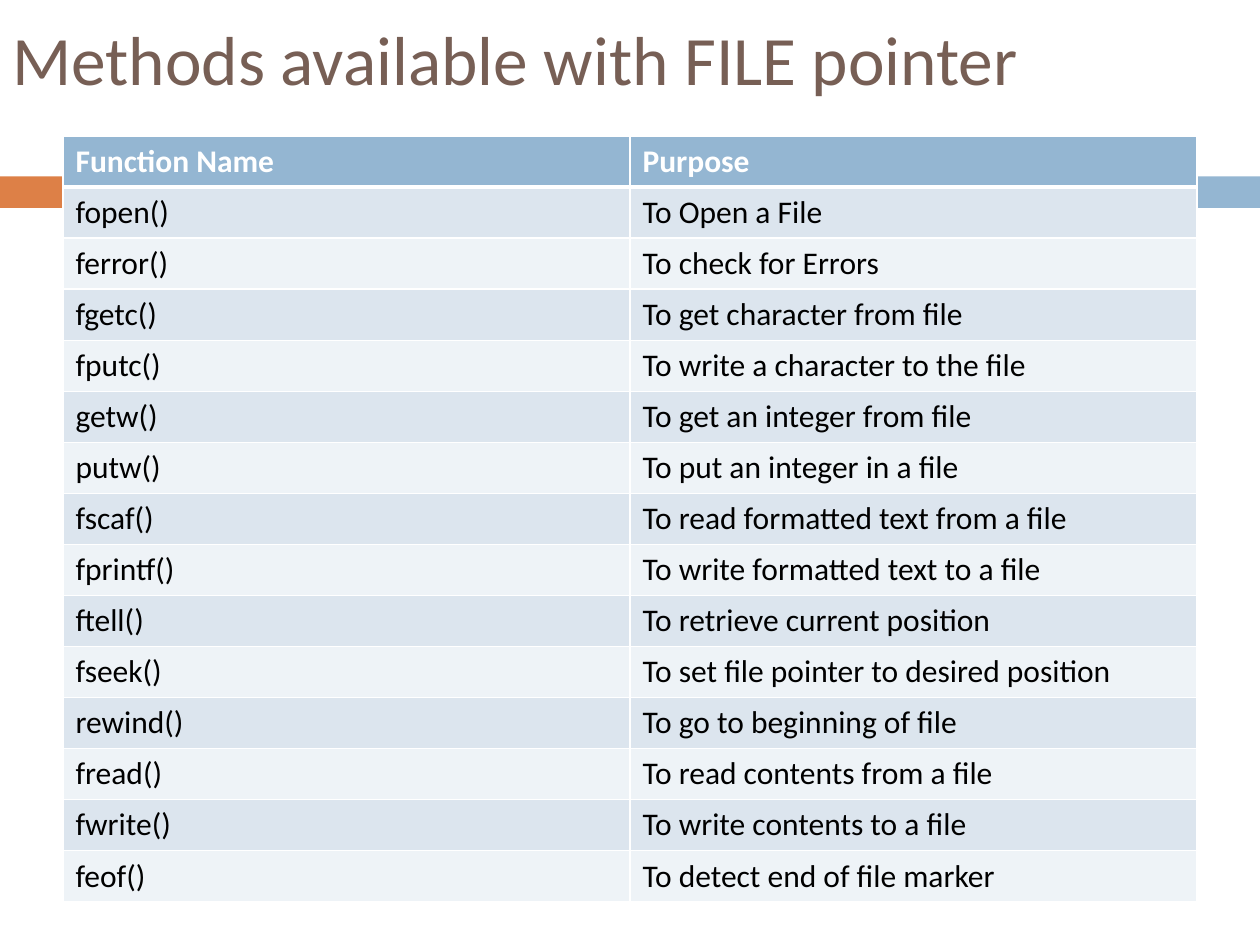
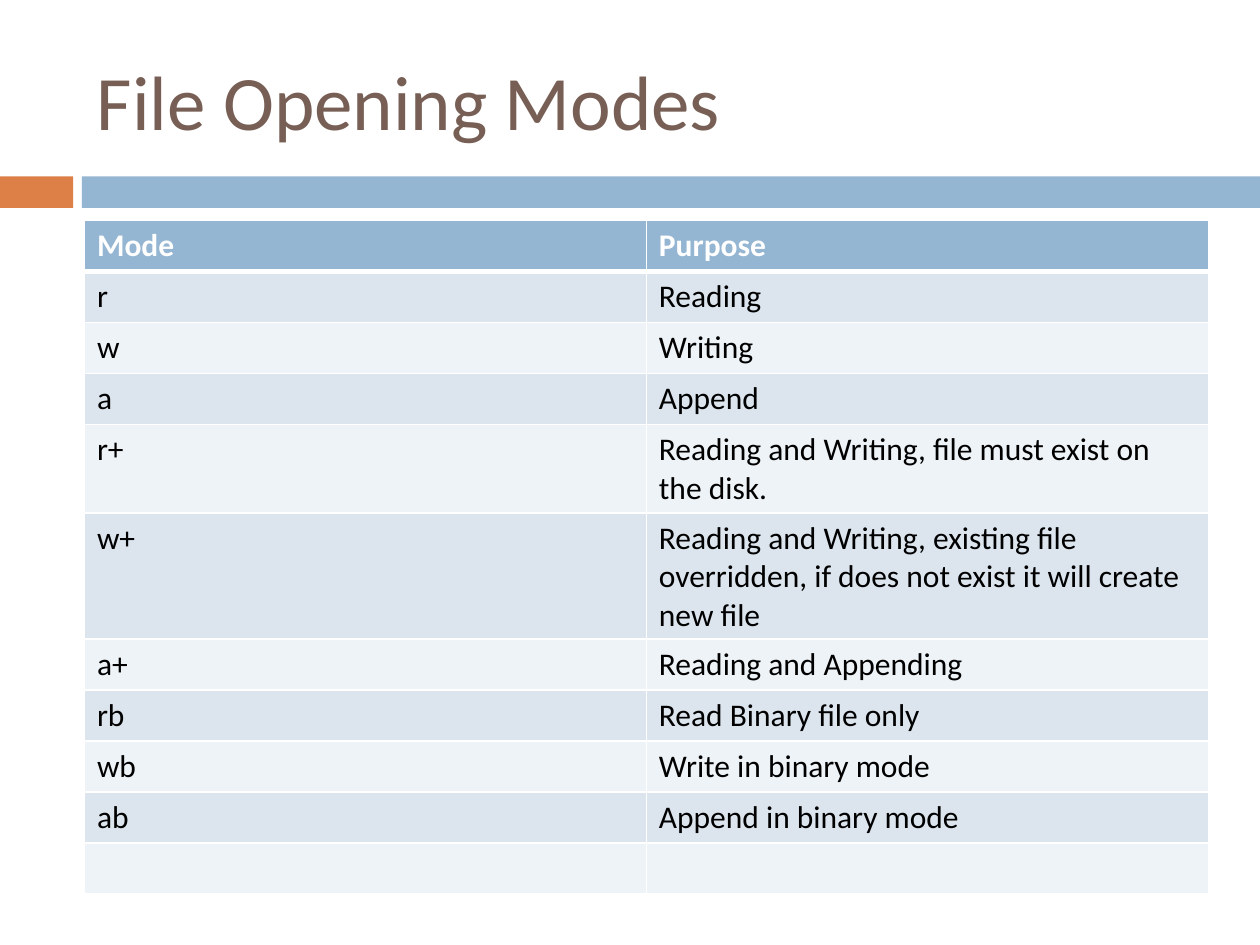
import pptx
import pptx.dml.color
import pptx.enum.shapes
import pptx.enum.text
import pptx.oxml
import pptx.oxml.ns
import pptx.util
from pptx.util import Inches

# Content
SLIDES = [
    {
        "title": "Methods available with FILE pointer",
        "title_size": 39.6,
        "title_box": (0, 0.17, 8.58, 0.58),
        "table_at": (0.5, 1.08),
        "column_width": 4.5,
        "rows": [
            ("Function Name", "Purpose"),
            ("fopen()", "To Open a File"),
            ("ferror()", "To check for Errors"),
            ("fgetc()", "To get character from file"),
            ("fputc()", "To write a character to the file"),
            ("getw()", "To get an integer from file"),
            ("putw()", "To put an integer in a file"),
            ("fscaf()", "To read formatted text from a file"),
            ("fprintf()", "To write formatted text to a file"),
            ("ftell()", "To retrieve current position"),
            ("fseek()", "To set file pointer to desired position"),
            ("rewind()", "To go to beginning of file"),
            ("fread()", "To read contents from a file"),
            ("fwrite()", "To write contents to a file"),
            ("feof()", "To detect end of file marker"),
        ],
    },
    {
        "title": "File Opening Modes",
        "title_size": 44,
        "title_box": (0.67, 0.25, 8.92, 1.08),
        "table_at": (0.67, 1.75),
        "column_width": 4.46,
        "rows": [
            ("Mode", "Purpose"),
            ("r", "Reading"),
            ("w", "Writing"),
            ("a", "Append"),
            ("r+", "Reading and Writing, file must exist on the disk."),
            ("w+", "Reading and Writing, existing file overridden, "
                   "if does not exist it will create new file"),
            ("a+", "Reading and Appending"),
            ("rb", "Read Binary file only"),
            ("wb", "Write in binary mode"),
            ("ab", "Append in binary mode"),
            ("", ""),
        ],
    },
]

# Shared look
FONT = "Calibri"
COLORS = {
    "title": "775F55",
    "accent": "DD8047",
    "band": "94B6D2",
    "odd_row": "DCE5EE",
    "even_row": "EEF3F7",
    "rule": "FFFFFF",
    "header_text": "FFFFFF",
    "body_text": "000000",
}
BANDS = [("accent", 0, 0.58), ("band", 0.65, 9.35)]  # colour, left, width
BAND_TOP, BAND_HEIGHT = 1.4, 0.25
ROW_HEIGHT = Inches(6.08) // 15
BODY_SIZE = 18


def rgb(name):
    return pptx.dml.color.RGBColor.from_string(COLORS[name])


def style_runs(paragraph, size, color, bold=False):
    for run in paragraph.runs:
        run.font.name = FONT
        run.font.size = pptx.util.Pt(size)
        run.font.bold = bold
        run.font.color.rgb = rgb(color)


def add_bands(slide):
    for color, left, width in BANDS:
        band = slide.shapes.add_shape(
            pptx.enum.shapes.MSO_SHAPE.RECTANGLE,
            Inches(left), Inches(BAND_TOP), Inches(width), Inches(BAND_HEIGHT))
        band.shadow.inherit = False
        band.fill.solid()
        band.fill.fore_color.rgb = rgb(color)
        band.line.fill.background()


def add_title(slide, content):
    title = slide.shapes.add_textbox(*map(Inches, content["title_box"]))
    frame = title.text_frame
    frame.word_wrap = True
    frame.vertical_anchor = pptx.enum.text.MSO_ANCHOR.MIDDLE
    frame.text = content["title"]
    style_runs(frame.paragraphs[0], content["title_size"], "title")


def rule_cell(cell, top, bottom):
    """Draw the four cell borders; top and bottom are widths in points."""
    properties = cell._tc.get_or_add_tcPr()
    for side, width in (("L", 1), ("R", 1), ("T", top), ("B", bottom)):
        properties.append(pptx.oxml.parse_xml(
            f'<a:ln{side} {pptx.oxml.ns.nsdecls("a")} w="{pptx.util.Pt(width)}">'
            f'<a:solidFill><a:srgbClr val="{COLORS["rule"]}"/></a:solidFill>'
            f'</a:ln{side}>'))


def add_rows(slide, content):
    rows = content["rows"]
    columns = len(rows[0])
    left, top = map(Inches, content["table_at"])
    table = slide.shapes.add_table(
        len(rows), columns, left, top,
        Inches(content["column_width"]) * columns, ROW_HEIGHT * len(rows)).table

    for r, texts in enumerate(rows):
        table.rows[r].height = ROW_HEIGHT
        is_header = r == 0
        fill = "band" if is_header else ("odd_row" if r % 2 else "even_row")
        for c, text in enumerate(texts):
            cell = table.cell(r, c)
            rule_cell(cell, top=3 if r == 1 else 1, bottom=3 if is_header else 1)
            cell.fill.solid()
            cell.fill.fore_color.rgb = rgb(fill)
            cell.text_frame.text = text
            style_runs(cell.text_frame.paragraphs[0], BODY_SIZE,
                       "header_text" if is_header else "body_text", is_header)


def main():
    deck = pptx.Presentation()
    deck.slide_width, deck.slide_height = Inches(10), Inches(7.5)
    for content in SLIDES:
        slide = deck.slides.add_slide(deck.slide_layouts[6])
        add_bands(slide)
        add_title(slide, content)
        add_rows(slide, content)
    deck.save("out.pptx")


if __name__ == "__main__":
    main()
